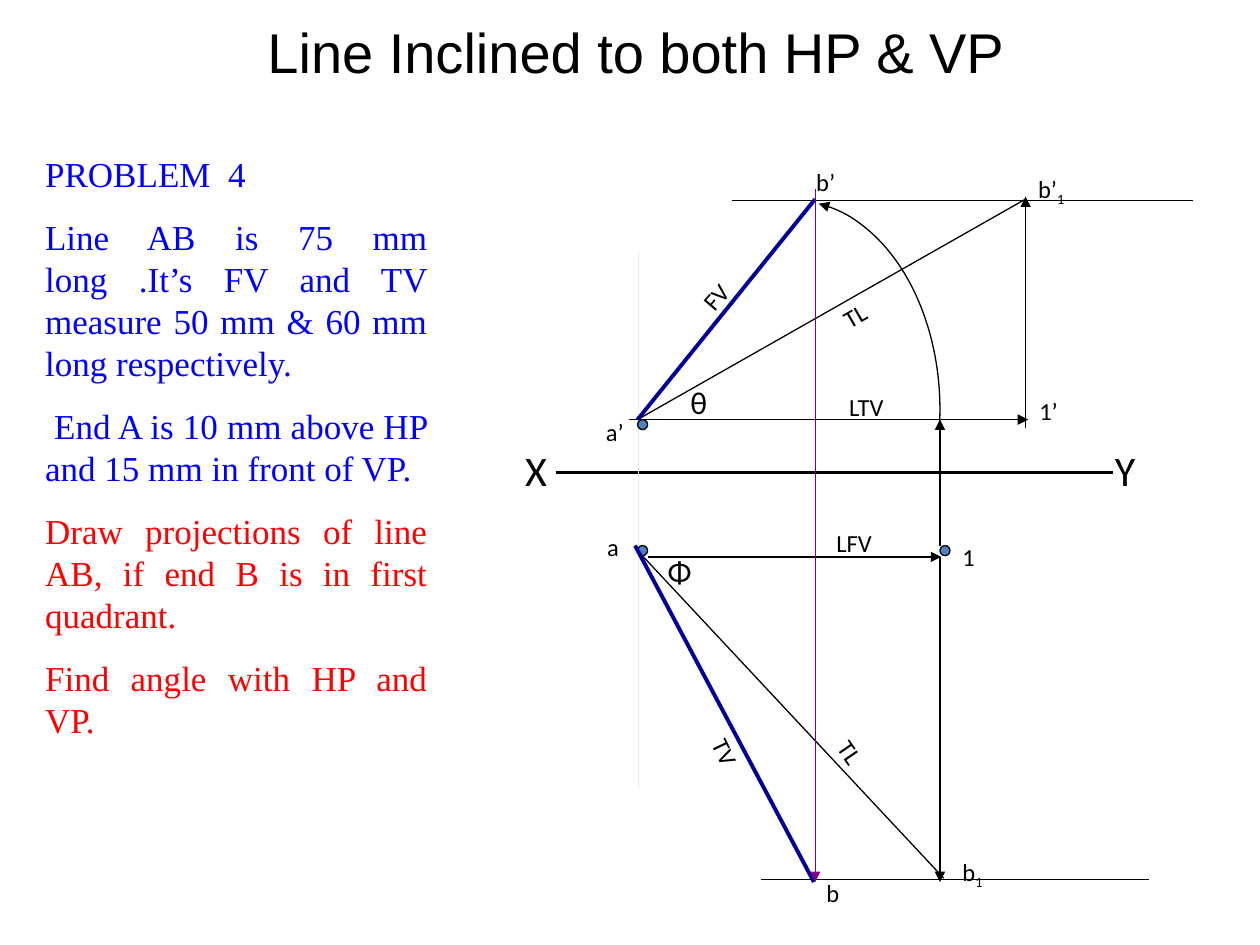
from dataclasses import dataclass

from pptx import Presentation
from pptx.dml.color import RGBColor
from pptx.enum.shapes import MSO_CONNECTOR, MSO_SHAPE
from pptx.enum.text import MSO_AUTO_SIZE, PP_ALIGN
from pptx.oxml.ns import qn
from pptx.util import Inches, Pt
from lxml.etree import SubElement

BLACK, BLUE, RED = "000000", "0000FF", "FF0000"
NAVY, PURPLE, PALE, DOT_BLUE = "000099", "800080", "EEECE1", "4F81BD"


@dataclass
class Box:
    left: float
    top: float
    width: float
    height: float

    def place(self, x, y):
        return Inches(self.left + x), Inches(self.top + y)


def color(hex_string):
    return RGBColor.from_string(hex_string)


def style_line(shape, hex_string=BLACK, width=0.75, arrow=None):
    """Set the line; arrow is "headEnd" (start), "tailEnd" (finish) or None."""
    shape.line.color.rgb = color(hex_string)
    shape.line.width = Pt(width)
    if arrow:
        SubElement(shape.line._get_or_add_ln(), qn("a:" + arrow), type="triangle")


def add_line(slide, box, start, end, hex_string=BLACK, width=0.75, arrow=False):
    line = slide.shapes.add_connector(
        MSO_CONNECTOR.STRAIGHT, *box.place(*start), *box.place(*end))
    style_line(line, hex_string, width, "tailEnd" if arrow else None)
    SubElement(line._element.spPr, qn("a:effectLst"))


def add_run(paragraph, text, size, font="Calibri", hex_string=BLACK):
    run = paragraph.add_run()
    run.text = text
    run.font.size = Pt(size)
    run.font.name = font
    run.font.color.rgb = color(hex_string)
    return run


def add_text_frame(slide, box, x, y, width, height, wrap):
    shape = slide.shapes.add_textbox(*box.place(x, y), Inches(width), Inches(height))
    frame = shape.text_frame
    frame.word_wrap = wrap
    frame.auto_size = MSO_AUTO_SIZE.SHAPE_TO_FIT_TEXT
    return shape, frame


def add_label(slide, box, text, x, y, width, size=14, rotation=0, subscript=""):
    height = {14: 0.33, 18: 0.37, 24: 0.5}[size]
    shape, frame = add_text_frame(slide, box, x, y, width, height, False)
    shape.rotation = rotation
    paragraph = frame.paragraphs[0]
    add_run(paragraph, text, size)
    if subscript:
        run = add_run(paragraph, subscript, size)
        run._r.get_or_add_rPr().set("baseline", "-25000")


def add_point(slide, box, x, y):
    dot = slide.shapes.add_shape(
        MSO_SHAPE.OVAL, *box.place(x, y), Inches(0.08), Inches(0.08))
    dot.shadow.inherit = False
    dot.fill.solid()
    dot.fill.fore_color.rgb = color(DOT_BLUE)
    style_line(dot)


def add_arc(slide, box, center, radii, angles):
    """Draw an elliptical arc, clockwise in degrees, with an arrow at its start."""
    (x, y), (across, down) = center, radii
    arc = slide.shapes.add_shape(
        MSO_SHAPE.ARC, *box.place(x - across, y - down),
        Inches(2 * across), Inches(2 * down))
    arc.shadow.inherit = False
    arc.fill.background()
    for index, angle in enumerate(angles):
        arc.adjustments[index] = angle * 0.6  # 60000ths of a degree / 100000
    style_line(arc, arrow="headEnd")


def draw_title(slide, box):
    _, frame = add_text_frame(slide, box, 0, 0, box.width, box.height, True)
    paragraph = frame.paragraphs[0]
    paragraph.alignment = PP_ALIGN.CENTER
    add_run(paragraph, "Line Inclined to both HP & VP", 32, "Arial")


def draw_problem(slide, box):
    statements = [
        ("PROBLEM  4", BLUE),
        ("Line AB is 75 mm long .It’s FV and TV measure 50 mm & 60 mm "
         "long respectively.", BLUE),
        (" End A is 10 mm above HP and 15 mm in front of VP. ", BLUE),
        ("Draw projections of line AB, if end B is in first quadrant. ", RED),
        ("Find angle with HP and VP.", RED),
    ]
    _, frame = add_text_frame(slide, box, 0, 0, box.width, box.height, True)
    for index, (text, hex_string) in enumerate(statements):
        paragraph = frame.add_paragraph() if index else frame.paragraphs[0]
        paragraph.alignment = PP_ALIGN.JUSTIFY
        paragraph.space_after = Pt(12)
        add_run(paragraph, text, 20, "Times New Roman", hex_string)


def draw_reference_lines(slide, box):
    """Draw the XY line and the projector through A."""
    add_line(slide, box, (0.41, 2.75), (4.83, 2.75), width=2.25)
    add_label(slide, box, "X", 0.07, 2.48, 0.44, 24)
    add_label(slide, box, "Y", 4.75, 2.48, 0.44, 24)
    add_line(slide, box, (1.07, 1), (1.07, 5.25), PALE)


def draw_front_view(slide, box):
    a, b, b1 = (1.06, 2.33), (2.47, 0.58), (4.14, 0.58)
    add_point(slide, box, 1.06, 2.33)
    add_line(slide, box, (0.99, 2.33), (4.16, 2.33), arrow=True)
    add_line(slide, box, (4.14, 2.4), (4.14, 0.56), arrow=True)
    add_line(slide, box, a, b1)
    add_line(slide, box, (1.81, 0.59), (5.47, 0.59))
    add_arc(slide, box, (2.29, 2.25), (1.17, 1.66), (277.3, 5.4))
    add_line(slide, box, a, b, NAVY, 2.25)
    add_label(slide, box, "a’", 0.71, 2.26, 0.35)
    add_label(slide, box, "b’", 2.38, 0.28, 0.36)
    add_label(slide, box, "b’", 4.14, 0.33, 0.43, subscript="1")
    add_label(slide, box, "1’", 4.15, 2.09, 0.36)
    add_label(slide, box, "LTV", 2.64, 2.06, 0.58)
    add_label(slide, box, "TL", 2.59, 1.32, 0.44, rotation=329.9)
    add_label(slide, box, "FV", 1.47, 1.17, 0.45, rotation=310.6)
    add_label(slide, box, "θ", 1.38, 1.99, 0.32, 18)


def draw_top_view(slide, box):
    for x in (1.06, 3.46):
        add_point(slide, box, x, 0.33)
    add_line(slide, box, (1.14, 0.42), (3.47, 0.42), arrow=True)
    add_line(slide, box, (3.46, 0.42), (3.46, 3), arrow=True)
    add_line(slide, box, (3.46, 0.33), (3.46, -0.67), arrow=True)
    add_line(slide, box, (1.07, 0.38), (3.49, 2.97))
    add_line(slide, box, (2.04, 2.98), (5.12, 2.98))
    add_line(slide, box, (2.46, 3), (1.04, 0.33), NAVY, 2.25)
    add_label(slide, box, "a", 0.72, 0.17, 0.29)
    add_label(slide, box, "b", 2.46, 2.92, 0.3)
    add_label(slide, box, "b", 3.54, 2.75, 0.36, subscript="1")
    add_label(slide, box, "1", 3.54, 0.25, 0.3)
    add_label(slide, box, "LFV", 2.54, 0.14, 0.57)
    add_label(slide, box, "TV", 1.54, 1.83, 0.46, rotation=64.2)
    add_label(slide, box, "TL", 2.55, 1.83, 0.44, rotation=55.4)
    add_label(slide, box, "Φ", 1.2, 0.33, 0.37, 18)


def draw_end_projector(slide, box):
    add_line(slide, box, (2.47, 0.5), (2.47, 6), PURPLE, arrow=True)


def main():
    presentation = Presentation()
    presentation.slide_width = Inches(10)
    presentation.slide_height = Inches(7.5)
    slide = presentation.slides.add_slide(presentation.slide_layouts[6])
    drawing = Box(4, 1, 6, 6.5)
    draw_reference_lines(slide, drawing)
    draw_front_view(slide, Box(4, 1, 6, 2.75))
    draw_top_view(slide, Box(4, 4, 6, 3.5))
    draw_end_projector(slide, drawing)
    draw_problem(slide, Box(0.26, 1.16, 3.23, 4.81))
    draw_title(slide, Box(0.26, 0.09, 9.58, 0.64))
    presentation.save("out.pptx")


if __name__ == "__main__":
    main()
